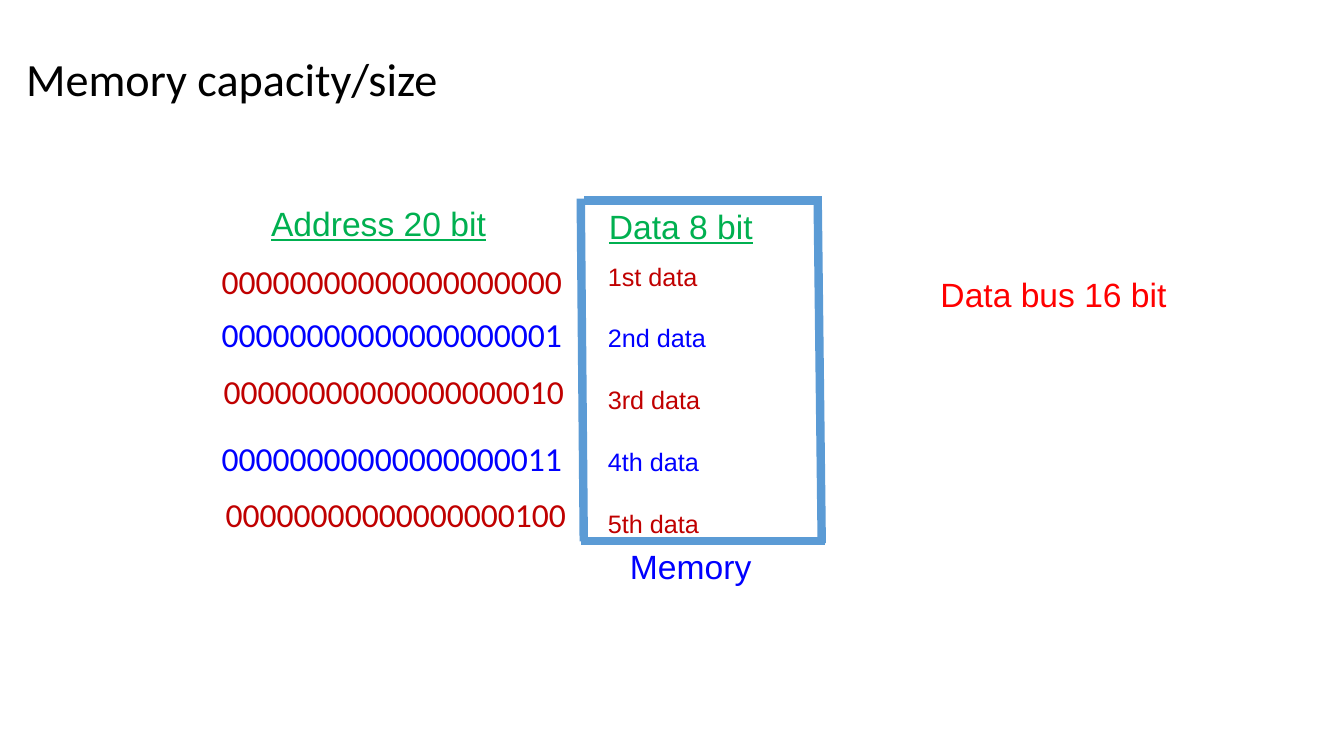
"""Build the memory capacity slide: 20-bit addresses beside 8-bit data cells."""
import pptx
import pptx.dml.color
import pptx.enum.shapes
import pptx.enum.text
import pptx.oxml.ns
import pptx.util

PX = 9144
BLACK = pptx.dml.color.RGBColor(0x00, 0x00, 0x00)
RED = pptx.dml.color.RGBColor(0xFF, 0x00, 0x00)
DARK_RED = pptx.dml.color.RGBColor(0xC0, 0x00, 0x00)
BLUE = pptx.dml.color.RGBColor(0x00, 0x00, 0xFF)
GREEN = pptx.dml.color.RGBColor(0x00, 0xB0, 0x50)
FRAME_BLUE = pptx.dml.color.RGBColor(0x5B, 0x9B, 0xD5)
ROW_COLORS = (DARK_RED, BLUE)


def add_run(paragraph, text, size, font, color, underline=None):
    run = paragraph.add_run()
    run.text = text
    run.font.size = pptx.util.Pt(size)
    run.font.name = font
    run.font.color.rgb = color
    run.font.underline = underline


def add_box(left, top, width, height, wrap=True):
    box = slide.shapes.add_textbox(left * PX, top * PX, width * PX, height * PX)
    box.text_frame.word_wrap = wrap
    return box.text_frame


deck = pptx.Presentation()
deck.slide_width = 1333 * PX
deck.slide_height = 750 * PX
slide = deck.slides.add_slide(deck.slide_layouts[5])

heading = slide.shapes.title
heading.left, heading.top, heading.width, heading.height = 16 * PX, 8 * PX, 1150 * PX, 145 * PX
heading.text_frame.vertical_anchor = pptx.enum.text.MSO_ANCHOR.MIDDLE
heading_line = heading.text_frame.paragraphs[0]
heading_line.alignment = pptx.enum.text.PP_ALIGN.LEFT
heading_line.line_spacing = 0.9
add_run(heading_line, "Memory capacity/size", 33, "Calibri", BLACK)

memory_edges = [
    (579, 537, 576, 197),
    (815, 539, 811, 199),
    (815, 199, 579, 199),
    (576, 537, 818, 537),
]
for x1, y1, x2, y2 in memory_edges:
    edge = slide.shapes.add_connector(
        pptx.enum.shapes.MSO_CONNECTOR.STRAIGHT, x1 * PX, y1 * PX, x2 * PX, y2 * PX)
    edge.line.color.rgb = FRAME_BLUE
    edge.line.width = pptx.util.Pt(6)
    edge._element.spPr.append(pptx.oxml.parse_xml(
        "<a:effectLst %s/>" % pptx.oxml.ns.nsdecls("a")))

labels = [
    ("Address 20 bit", 259, 196, 259, GREEN, True, True),
    ("Data 8 bit", 594, 199, 194, GREEN, True, True),
    ("Data bus 16 bit", 923, 267, 247, RED, None, False),
    ("Memory", 615, 537, 173, BLUE, None, True),
]
for text, left, top, width, color, underline, wrap in labels:
    label = add_box(left, top, width, 50, wrap)
    add_run(label.paragraphs[0], text, 24, "Arial", color, underline)

data_cells = add_box(593, 254, 284, 343)
for row, ordinal in enumerate(("1st", "2nd", "3rd", "4th", "5th")):
    cell = data_cells.add_paragraph() if row else data_cells.paragraphs[0]
    cell.space_after = pptx.util.Pt(22.5)
    add_run(cell, f"{ordinal} data", 18, "Arial", ROW_COLORS[row % 2])

address_corners = [(210, 254), (210, 307), (212, 363), (210, 430), (214, 485)]
for number, (left, top) in enumerate(address_corners):
    address = add_box(left, top, 366, 50)
    add_run(address.paragraphs[0], f"{number:020b}", 24, "Calibri", ROW_COLORS[number % 2])

deck.save("out.pptx")
